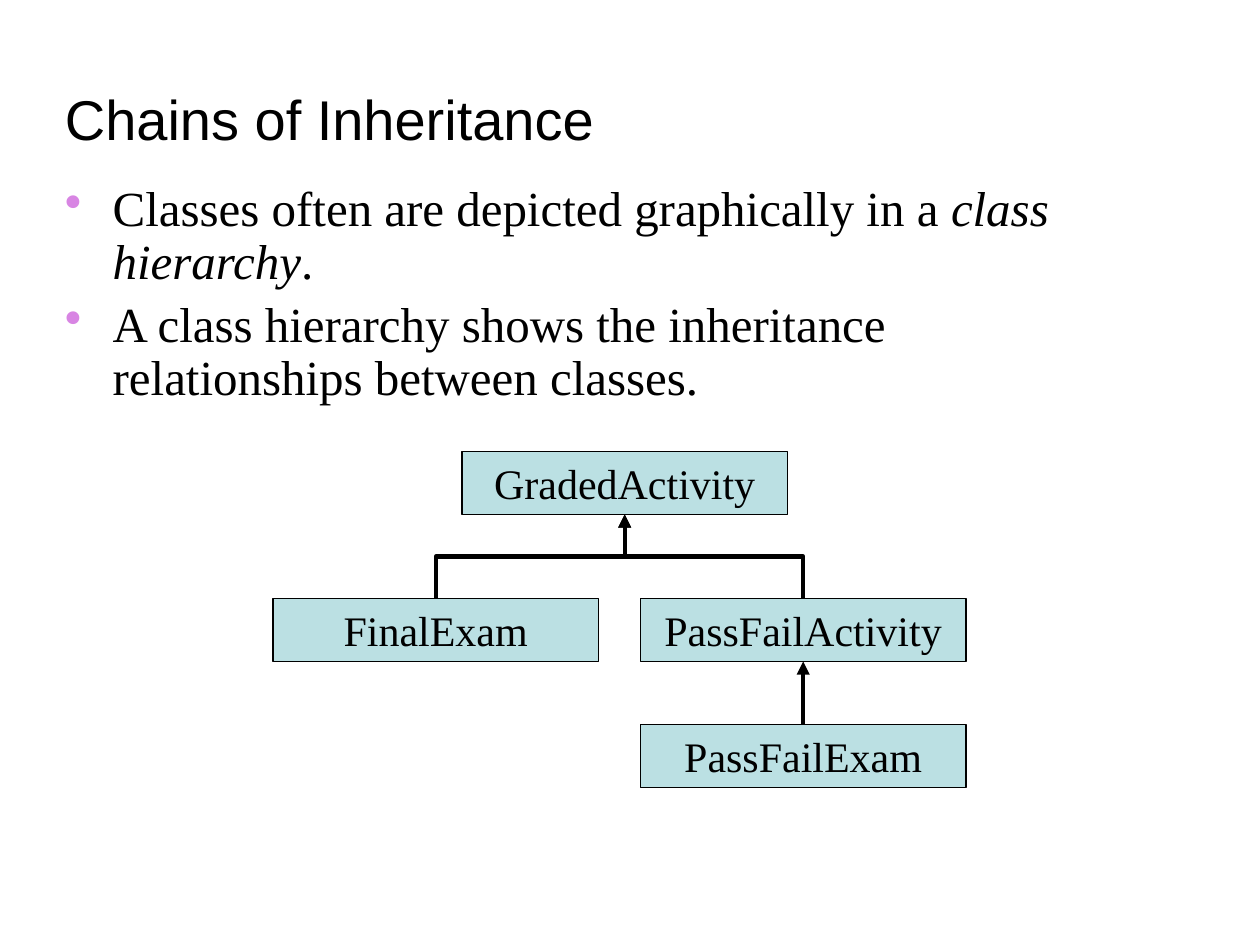
from lxml.etree import SubElement
from pptx import Presentation
from pptx.dml.color import RGBColor
from pptx.enum.shapes import MSO_CONNECTOR, MSO_SHAPE
from pptx.enum.text import MSO_ANCHOR, PP_ALIGN
from pptx.oxml.ns import qn
from pptx.util import Inches, Pt

TITLE = "Chains of Inheritance"
BULLETS = [
    [("Classes often are depicted graphically in a ", False),
     ("class hierarchy", True), (".", False)],
    [("A class hierarchy shows the inheritance relationships between classes.", False)],
]
CLASSES = {
    "GradedActivity": (44, 43),
    "FinalExam": (26, 57),
    "PassFailActivity": (61, 57),
    "PassFailExam": (61, 69),
}
PARENTS = [
    ("FinalExam", "GradedActivity"),
    ("PassFailActivity", "GradedActivity"),
    ("PassFailExam", "PassFailActivity"),
]
BOX_W, BOX_H = 31, 6
BLACK, BOX_FILL, BULLET = "000000", "BBE0E3", "D885E3"
SERIF = "Times New Roman"


def grid(n):
    """Convert grid steps, twelve to the inch, to a length."""
    return Inches(n / 12)


def rgb(value):
    """Turn a hex string into a colour."""
    return RGBColor.from_string(value)


def add_run(p, text, size, font=SERIF, italic=False):
    """Append one formatted run to a paragraph."""
    r = p.add_run()
    r.text = text
    r.font.size, r.font.name, r.font.italic = Pt(size), font, italic
    r.font.color.rgb = rgb(BLACK)


def add_text_box(slide, left, top, width, height):
    """Add a wrapping text box and return its frame."""
    tf = slide.shapes.add_textbox(*map(grid, (left, top, width, height))).text_frame
    tf.word_wrap = True
    return tf


def add_bullet(p, runs, first):
    """Fill a paragraph as a hanging bullet."""
    pPr = p._p.get_or_add_pPr()
    pPr.set("marL", str(Inches(0.38)))
    pPr.set("indent", str(-Inches(0.38)))
    color = SubElement(pPr, qn("a:buClr"))
    SubElement(color, qn("a:srgbClr")).set("val", BULLET)
    SubElement(pPr, qn("a:buChar")).set("char", "•")
    p.line_spacing = 0.9
    p.space_before = Pt(0 if first else 5.6)
    for text, italic in runs:
        add_run(p, text, 28, italic=italic)


def add_class(slide, name, left, top):
    """Draw one class box."""
    sp = slide.shapes.add_shape(MSO_SHAPE.RECTANGLE, *map(grid, (left, top, BOX_W, BOX_H)))
    sp.shadow.inherit = False
    sp.fill.solid()
    sp.fill.fore_color.rgb = rgb(BOX_FILL)
    sp.line.color.rgb = rgb(BLACK)
    sp.line.width = Pt(0.75)
    tf = sp.text_frame
    tf.word_wrap = False
    tf.vertical_anchor = MSO_ANCHOR.MIDDLE
    p = tf.paragraphs[0]
    p.alignment = PP_ALIGN.CENTER
    add_run(p, name, 24)


def add_arrow(slide, child, parent):
    """Join a child class to its parent, turning an elbow so it leaves upward."""
    x1, x2 = (CLASSES[n][0] + BOX_W / 2 for n in (child, parent))
    y1, y2 = CLASSES[child][1], CLASSES[parent][1] + BOX_H
    kind, ends, turn = MSO_CONNECTOR.STRAIGHT, (x1, y1, x2, y2), 0
    if x1 != x2:
        side = 1 if x1 < x2 else -1
        cx, cy = (x1 + x2) / 2, (y1 + y2) / 2
        dx, dy = side * (y1 - y2) / 2, abs(x2 - x1) / 2
        kind, ends = MSO_CONNECTOR.ELBOW, (cx - dx, cy - dy, cx + dx, cy + dy)
        turn = 270 if side > 0 else 90
    line = slide.shapes.add_connector(kind, *map(grid, ends))
    line.line.color.rgb = rgb(BLACK)
    line.line.width = Pt(2.5)
    spPr = line._element.spPr
    if turn:
        spPr.find(qn("a:xfrm")).set("rot", str(turn * 60000))
    SubElement(line.line._get_or_add_ln(), qn("a:tailEnd")).set("type", "triangle")
    SubElement(spPr, qn("a:effectLst"))


def main():
    """Build and save the slide."""
    prs = Presentation()
    prs.slide_width, prs.slide_height = Inches(10), Inches(7.5)
    slide = prs.slides.add_slide(prs.slide_layouts[6])

    tf = add_text_box(slide, 5, 0, 109, 15)
    tf.vertical_anchor = MSO_ANCHOR.BOTTOM
    add_run(tf.paragraphs[0], TITLE, 32, "Arial")

    tf = add_text_box(slide, 5, 17, 102, 24)
    tf.margin_right = 0
    for i, runs in enumerate(BULLETS):
        p = tf.add_paragraph() if i else tf.paragraphs[0]
        add_bullet(p, runs, i == 0)

    for name, (left, top) in CLASSES.items():
        add_class(slide, name, left, top)
    for child, parent in PARENTS:
        add_arrow(slide, child, parent)

    prs.save("out.pptx")


if __name__ == "__main__":
    main()
